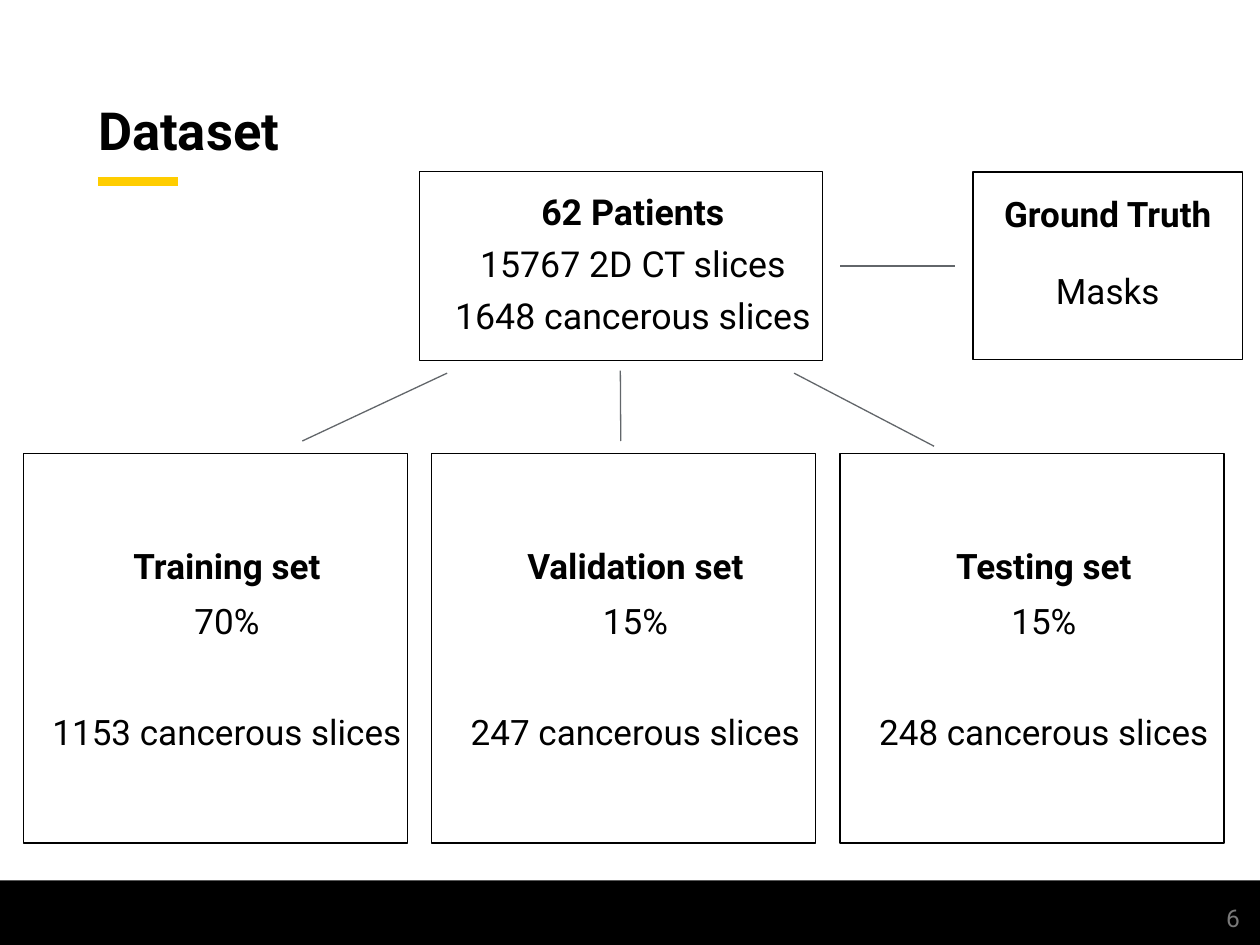
from dataclasses import dataclass

from lxml import etree
from pptx import Presentation
from pptx import util as u
from pptx.dml.color import RGBColor
from pptx.enum import shapes, text
from pptx.oxml import ns

COLOURS = {
    "ink": "000000",
    "accent": "FFCD00",
    "link": "62666A",
    "number": "797979",
}
FONT = "Roboto"


@dataclass
class Card:
    left: float
    top: float
    width: float
    height: float
    lines: list[str]
    size: float = 20
    spacing: float = 1.0
    indent: float = 13.5
    last_gap: float = 7.5
    anchor: text.MSO_ANCHOR = text.MSO_ANCHOR.MIDDLE


@dataclass
class Link:
    x1: float
    y1: float
    x2: float
    y2: float
    colour: str = "link"
    width: float = 0.75


def colour(name: str) -> RGBColor:
    return RGBColor.from_string(COLOURS[name])


def place(shape, left: float, top: float, width: float, height: float) -> None:
    shape.left, shape.top = u.Pt(left), u.Pt(top)
    shape.width, shape.height = u.Pt(width), u.Pt(height)


def clear_margins(frame) -> None:
    frame.margin_left = frame.margin_right = u.Pt(0)
    frame.margin_top = frame.margin_bottom = u.Pt(0)
    frame.word_wrap = True
    frame.auto_size = text.MSO_AUTO_SIZE.NONE


def set_font(paragraph, size: float, name: str, bold: bool) -> None:
    font = paragraph.font
    font.name, font.size, font.bold = FONT, u.Pt(size), bold
    font.color.rgb = colour(name)


def draw_card(shape, card: Card) -> None:
    place(shape, card.left, card.top, card.width, card.height)
    shape.fill.background()
    shape.line.color.rgb = colour("ink")
    shape.line.width = u.Pt(0.75)
    frame = shape.text_frame
    clear_margins(frame)
    frame.vertical_anchor = card.anchor
    frame.text = "\n".join(card.lines)
    last = len(card.lines) - 1
    for index, paragraph in enumerate(frame.paragraphs):
        paragraph.alignment = text.PP_ALIGN.CENTER
        paragraph.line_spacing = card.spacing
        gap = card.last_gap if index == last else 7.5
        paragraph.space_before = u.Pt(gap if index else 0)
        properties = paragraph._p.get_or_add_pPr()
        properties.set("marL", str(u.Pt(card.indent)))
        properties.set("indent", "0")
        etree.SubElement(properties, ns.qn("a:buNone"))
        set_font(paragraph, card.size, "ink", index == 0)


def draw_link(slide, link: Link) -> None:
    connector = slide.shapes.add_connector(
        shapes.MSO_CONNECTOR.STRAIGHT,
        u.Pt(link.x1), u.Pt(link.y1), u.Pt(link.x2), u.Pt(link.y2),
    )
    connector.line.color.rgb = colour(link.colour)
    connector.line.width = u.Pt(link.width)
    etree.SubElement(connector._element.spPr, ns.qn("a:effectLst"))


def draw_title(title) -> None:
    place(title, 56, 42.5, 608, 68)
    frame = title.text_frame
    clear_margins(frame)
    frame.vertical_anchor = text.MSO_ANCHOR.MIDDLE
    frame.text = "Dataset"
    paragraph = frame.paragraphs[0]
    paragraph.alignment = text.PP_ALIGN.LEFT
    paragraph.line_spacing = 0.9
    set_font(paragraph, 30, "ink", True)


def draw_footer(slide) -> None:
    bar = slide.shapes.add_shape(
        shapes.MSO_SHAPE.RECTANGLE, u.Pt(0), u.Pt(503), u.Pt(720), u.Pt(37)
    )
    bar.shadow.inherit = False
    bar.fill.solid()
    bar.fill.fore_color.rgb = colour("ink")
    bar.line.fill.background()

    number = slide.shapes.add_textbox(u.Pt(683), u.Pt(510), u.Pt(32.5), u.Pt(29))
    frame = number.text_frame
    frame.word_wrap = True
    frame.vertical_anchor = text.MSO_ANCHOR.MIDDLE
    frame.text = "6"
    paragraph = frame.paragraphs[0]
    paragraph.alignment = text.PP_ALIGN.RIGHT
    set_font(paragraph, 14, "number", False)


def main() -> None:
    presentation = Presentation()
    presentation.slide_width, presentation.slide_height = u.Pt(720), u.Pt(540)
    comparison_layout = presentation.slide_layouts[4]
    slide = presentation.slides.add_slide(comparison_layout)

    draw_title(slide.shapes.title)
    draw_footer(slide)

    patients = Card(
        239.75, 98, 230.25, 108,
        ["62 Patients", "15767 2D CT slices", "1648 cancerous slices"],
        size=20.4, spacing=0.9,
    )
    splits = [
        ("Training set", "70%", "1153 cancerous slices"),
        ("Validation set", "15%", "247 cancerous slices"),
        ("Testing set", "15%", "248 cancerous slices"),
    ]
    split_cards = [
        Card(13.25 + 233.4 * column, 259.25, 219.5, 222.5, list(lines), last_gap=39)
        for column, lines in enumerate(splits)
    ]
    bodies = [holder for holder in slide.placeholders if holder.placeholder_format.idx in range(1, 5)]
    for body, card in zip(bodies, [patients, *split_cards]):
        draw_card(body, card)

    ground_truth = Card(
        556, 98.25, 154, 107.25, ["Ground Truth", "Masks"],
        spacing=1.5, indent=0, anchor=text.MSO_ANCHOR.TOP,
    )
    ground_truth_box = slide.shapes.add_shape(
        shapes.MSO_SHAPE.RECTANGLE, u.Pt(0), u.Pt(0), u.Pt(0), u.Pt(0)
    )
    ground_truth_box.shadow.inherit = False
    draw_card(ground_truth_box, ground_truth)

    links = [
        Link(56, 103.75, 101.75, 103.75, "accent", 5),
        Link(255.5, 213.25, 172.75, 252),
        Link(354.5, 211.75, 354.75, 252),
        Link(453.75, 213.25, 533.75, 255),
        Link(545.5, 152, 480, 152),
    ]
    for link in links:
        draw_link(slide, link)

    presentation.save("out.pptx")


if __name__ == "__main__":
    main()
